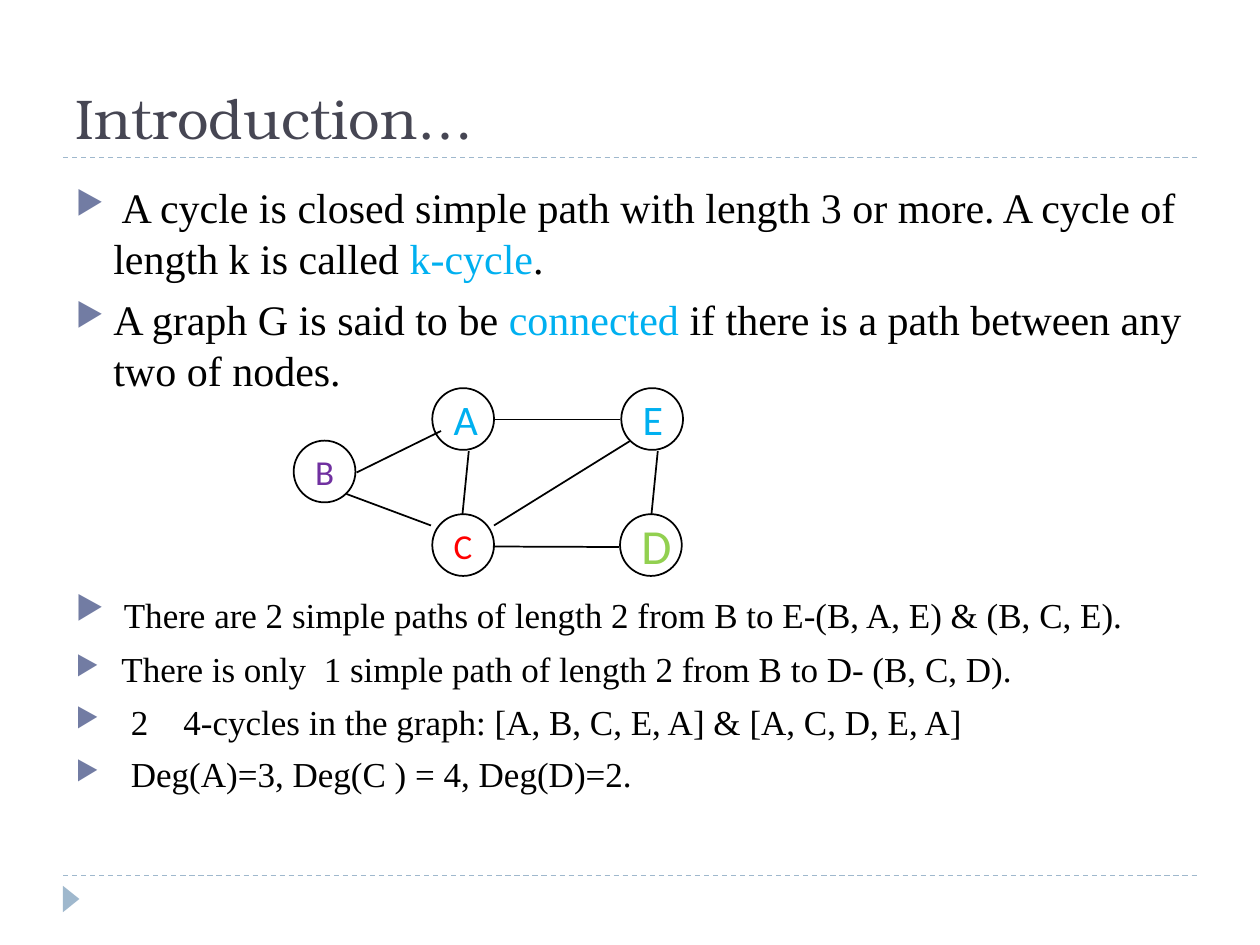
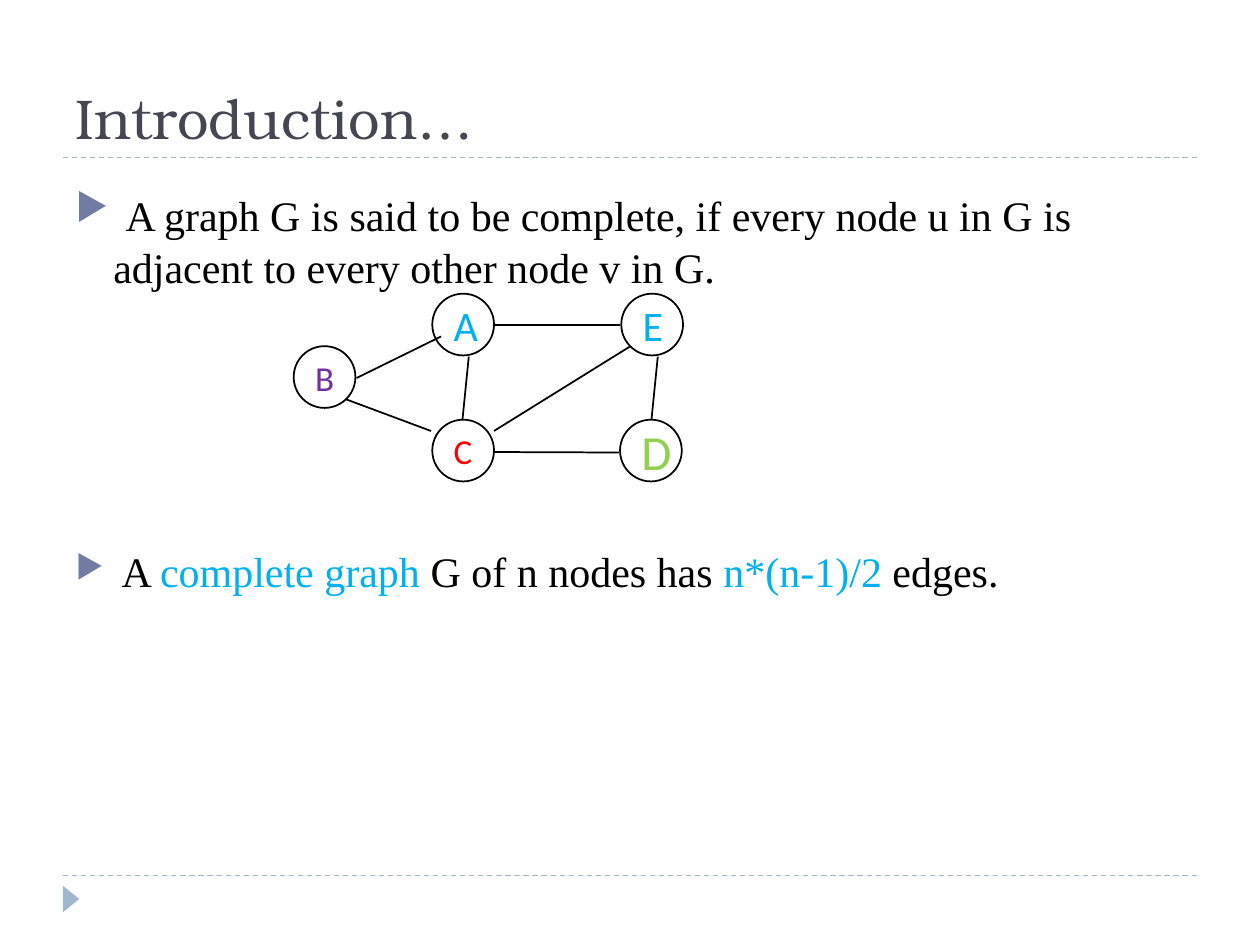
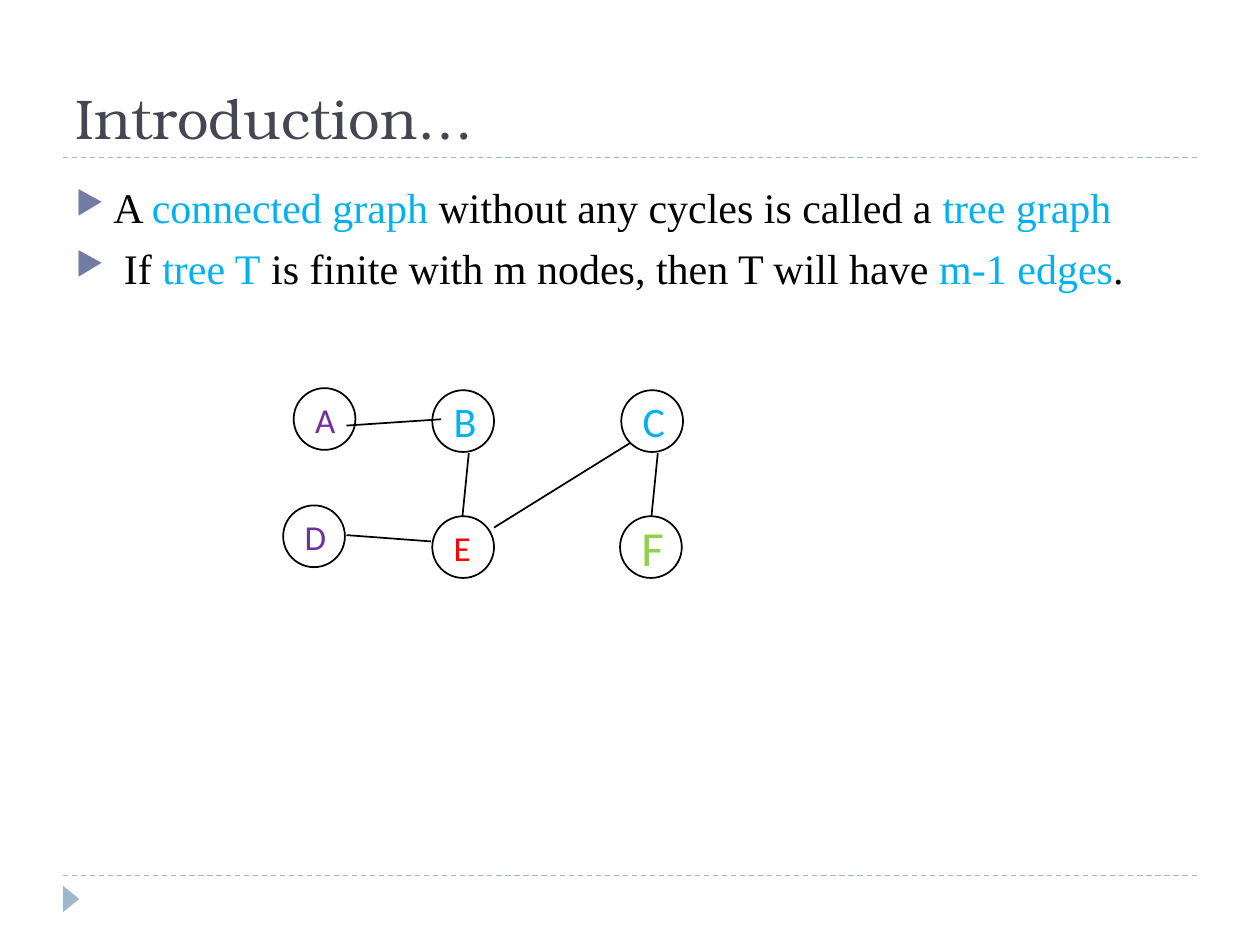
from lxml import etree
from pptx import Presentation
from pptx.dml.color import RGBColor
from pptx.enum.dml import MSO_LINE
from pptx.enum.shapes import MSO_CONNECTOR, MSO_SHAPE
from pptx.enum.text import MSO_ANCHOR, MSO_AUTO_SIZE, PP_ALIGN
from pptx.oxml.ns import qn
from pptx.util import Pt

STRAIGHT = MSO_CONNECTOR.STRAIGHT
OVAL, TRIANGLE = MSO_SHAPE.OVAL, MSO_SHAPE.ISOSCELES_TRIANGLE
LEFT = PP_ALIGN.LEFT
DASH = MSO_LINE.DASH
TITLE_ONLY = 5

BLACK, WHITE = "000000", "FFFFFF"
TITLE_COLOR, RULE_COLOR, BULLET_COLOR = "464653", "9FB8CD", "727CA3"
BLUE, RED, GREEN, PURPLE = "00B0F0", "FF0000", "92D050", "7030A0"
TITLE_FONT, BODY_FONT, NODE_FONT = "TeX Gyre Bonum", "Times New Roman", "Calibri"

BODY_LEFT, BODY_WIDTH, BODY_BOTTOM = 43.2, 633.6, 484
HANG = 21.6
PARA_GAP = 6
LINE_HEIGHTS = {24: 29, 20: 24}
NODE_SIZE = 35.3
GRAPH_LEFT = 167.8

# Node places and edge ends, relative to the graph's top left corner
TOP_MIDDLE, TOP_RIGHT = (79.2, 0), (187.2, 0)
LOW_MIDDLE, LOW_RIGHT = (79.2, 72), (186.5, 72)
SHARED_EDGES = [
    (114.5, 78.5, 192.2, 30.2),
    (204.5, 72, 208.1, 36),
    (96.5, 72, 100.1, 36),
]
CYCLE_NODES = [
    ("A", TOP_MIDDLE, 24, BLUE),
    ("E", TOP_RIGHT, 24, BLUE),
    ("C", LOW_MIDDLE, 20, RED),
    ("D", LOW_RIGHT, 28, GREEN),
    ("B", (0, 30), 20, PURPLE),
]
CYCLE_EDGES = SHARED_EDGES + [
    (114.5, 18, 186.5, 18),
    (113.8, 90.5, 185.8, 90.8),
    (36, 48.2, 84.2, 24.5),
    (30.2, 60.5, 78.5, 78.5),
]
TREE_NODES = [
    ("B", TOP_MIDDLE, 24, BLUE),
    ("C", TOP_RIGHT, 24, BLUE),
    ("E", LOW_MIDDLE, 20, RED),
    ("F", LOW_RIGHT, 28, GREEN),
    ("A", (0, -1.2), 20, PURPLE),
    ("D", (-6, 65.8), 20, PURPLE),
]
TREE_EDGES = SHARED_EDGES + [
    (30.2, 20.2, 84.2, 16.6),
    (30.2, 82.8, 78.5, 86.4),
]


def rgb(hex_color):
    return RGBColor.from_string(hex_color)


def add_span(para, text, font, size, color):
    span = para.add_run()
    span.text = text
    span.font.name = font
    span.font.size = Pt(size)
    span.font.color.rgb = rgb(color)
    return span


def add_line(page, ends, color, width, dash=None):
    line = page.shapes.add_connector(STRAIGHT, *[Pt(value) for value in ends])
    line.line.color.rgb = rgb(color)
    line.line.width = Pt(width)
    if dash is not None:
        line.line.dash_style = dash
    etree.SubElement(line._element.spPr, qn("a:effectLst"))


def add_frame(page):
    """Draw the dashed rules and the corner marker that every slide has."""
    for y in (500.4, 90):
        add_line(page, (36, y, 684, y), RULE_COLOR, 0.75, DASH)
    marker = page.shapes.add_shape(TRIANGLE, Pt(33.1), Pt(509), Pt(15.1), Pt(9.4))
    marker.rotation = 90
    marker.shadow.inherit = False
    marker.fill.solid()
    marker.fill.fore_color.rgb = rgb(RULE_COLOR)
    marker.line.fill.background()


def add_title(page, text):
    title = page.shapes.title
    title.left, title.top, title.width, title.height = Pt(36), Pt(12), Pt(648), Pt(78)
    frame = title.text_frame
    frame.auto_size = MSO_AUTO_SIZE.NONE
    frame.vertical_anchor = MSO_ANCHOR.BOTTOM
    para = frame.paragraphs[0]
    para.alignment = LEFT
    add_span(para, text, TITLE_FONT, 32, TITLE_COLOR)


def set_bullet(para, indent):
    """Hang the text at the indent, with the bullet at the box edge."""
    props = para._p.get_or_add_pPr()
    props.set("marL", str(Pt(indent)))
    props.set("indent", str(-Pt(indent)))
    color = etree.SubElement(props, qn("a:buClr"))
    etree.SubElement(color, qn("a:srgbClr")).set("val", BULLET_COLOR)
    etree.SubElement(props, qn("a:buSzPct")).set("val", "76000")
    etree.SubElement(props, qn("a:buChar")).set("char", "▶")


def point(*spans, size=24, line=None, gap=PARA_GAP, indent=HANG):
    """Describe a bullet; a span is text or (text, overrides)."""
    spans = [(span, {}) if isinstance(span, str) else span for span in spans]
    return spans, size, line or LINE_HEIGHTS[size], gap, indent


def blue(text):
    return text, {"color": BLUE}


def sized(text, size):
    return text, {"size": size}


def add_points(page, top, points):
    box = page.shapes.add_textbox(
        Pt(BODY_LEFT), Pt(top), Pt(BODY_WIDTH), Pt(BODY_BOTTOM - top))
    frame = box.text_frame
    frame.word_wrap = True
    frame.margin_left = frame.margin_right = frame.margin_top = frame.margin_bottom = 0
    for index, (spans, size, line, gap, indent) in enumerate(points):
        para = frame.add_paragraph() if index else frame.paragraphs[0]
        para.alignment = LEFT
        para.line_spacing = Pt(line)
        para.space_before = Pt(gap if index else 0)
        set_bullet(para, indent)
        for text, style in spans:
            span = add_span(para, text, BODY_FONT, style.get("size", size),
                            style.get("color", BLACK))
            if "spacing" in style:
                span.font._element.set("spc", str(style["spacing"] * 100))


def add_node(page, left, top, label, size, color):
    node = page.shapes.add_shape(OVAL, Pt(left), Pt(top), Pt(NODE_SIZE), Pt(NODE_SIZE))
    node.shadow.inherit = False
    node.fill.solid()
    node.fill.fore_color.rgb = rgb(WHITE)
    node.line.color.rgb = rgb(BLACK)
    node.line.width = Pt(1)
    frame = node.text_frame
    frame.word_wrap = False
    frame.vertical_anchor = MSO_ANCHOR.MIDDLE
    para = frame.paragraphs[0]
    para.alignment = LEFT
    add_span(para, label, NODE_FONT, size, color)


def add_graph(page, top, nodes, edges):
    for label, (x, y), size, color in nodes:
        add_node(page, GRAPH_LEFT + x, top + y, label, size, color)
    for x1, y1, x2, y2 in edges:
        ends = (GRAPH_LEFT + x1, top + y1, GRAPH_LEFT + x2, top + y2)
        add_line(page, ends, BLACK, 1)


def add_page(deck, points_top, points, graph_top, nodes, edges):
    page = deck.slides.add_slide(deck.slide_layouts[TITLE_ONLY])
    add_frame(page)
    add_title(page, "Introduction…")
    add_points(page, points_top, points)
    add_graph(page, graph_top, nodes, edges)


def main():
    deck = Presentation()
    deck.slide_width, deck.slide_height = Pt(720), Pt(540)

    add_page(deck, 103.6, [
        point(" A cycle is closed simple path with length 3 or more. "
              "A cycle of length k is called ", blue("k-cycle"), "."),
        point("A graph G is said to be ", blue("connected"),
              " if there is a path between any two of nodes."),
        point(sized(" ", 24), "There are 2 simple paths of length 2 from B to E-"
              "(B, A, E) & (B, C, E).", size=20, line=29, gap=109.6),
        point(" There is only  1 simple path of length 2 from B to D- (B, C, D).",
              size=20),
        point("2", (" ", {"spacing": 15}),
              "4-cycles in the graph: [A, B, C, E, A] & [A, C, D, E, A]",
              size=20, indent=HANG + 10),
        point("Deg(A)=3, Deg(C ) = 4, Deg(D)=2.", size=20, indent=HANG + 10),
    ], 221.8, CYCLE_NODES, CYCLE_EDGES)

    add_page(deck, 108.8, [
        point(sized(" ", 28), "A graph G is said to be complete, if every node u in G "
              "is adjacent to every other node v in G."),
        point(" A ", blue("complete graph"), " G of n nodes has ",
              blue("n*(n-1)/2"), " edges.", gap=144.7),
    ], 167.8, CYCLE_NODES, CYCLE_EDGES)

    add_page(deck, 103.6, [
        point("A ", blue("connected graph"), " without any cycles is called a ",
              blue("tree graph")),
        point(" If", blue(" tree T"), " is finite with m nodes, then T will have ",
              blue("m-1 edges"), "."),
    ], 223, TREE_NODES, TREE_EDGES)

    deck.save("out.pptx")


if __name__ == "__main__":
    main()
